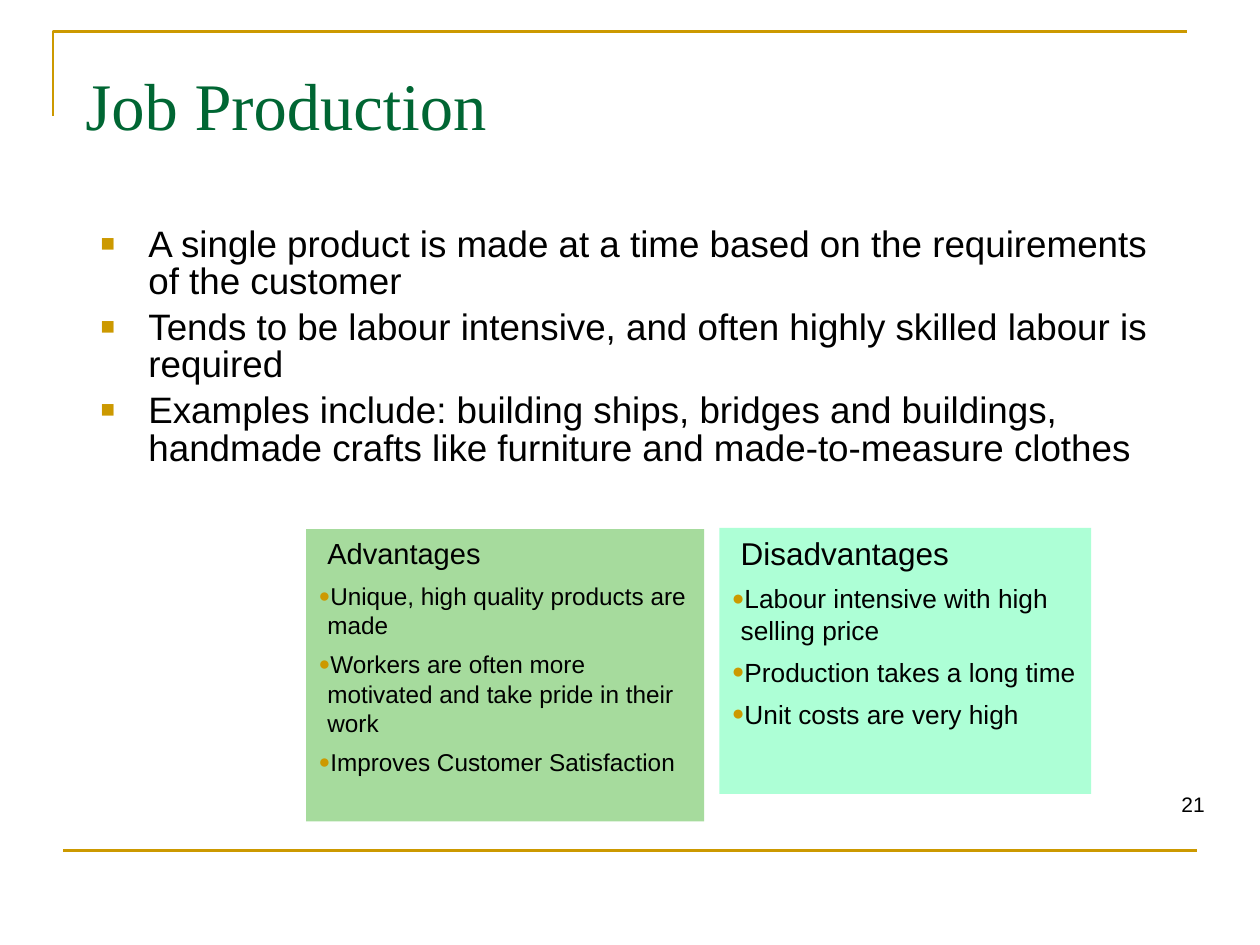
import pptx
import pptx.util
import pptx.dml.color
import pptx.enum.shapes
import pptx.enum.text
import pptx.oxml.ns
import lxml.etree

Inches = pptx.util.Inches
Pt = pptx.util.Pt
RGBColor = pptx.dml.color.RGBColor
Align = pptx.enum.text.PP_ALIGN
Anchor = pptx.enum.text.MSO_ANCHOR

GOLD = RGBColor(0xCC, 0x99, 0x00)
GREEN = RGBColor(0x00, 0x66, 0x33)
BLACK = RGBColor(0x00, 0x00, 0x00)
LEAF = RGBColor(0xA6, 0xDB, 0x9D)
MINT = RGBColor(0xAD, 0xFF, 0xD6)

TITLE = "Job Production"
POINTS = [
    "A single product is made at a time based on the requirements of the customer",
    "Tends to be labour intensive, and often highly skilled labour is required",
    "Examples include: building ships, bridges and buildings, "
    "handmade crafts like furniture and made-to-measure clothes",
]
PANELS = [
    dict(heading="Advantages", box=(2.43, 4.2, 3.16, 2.32), fill=LEAF,
         heading_size=16.6, size=13.9,
         items=["Unique, high quality products are made",
                "Workers are often more motivated and take pride in their work",
                "Improves Customer Satisfaction"]),
    dict(heading="Disadvantages", box=(5.71, 4.19, 2.95, 2.11), fill=MINT,
         heading_size=18, size=15,
         items=["Labour intensive with high selling price",
                "Production takes a long time",
                "Unit costs are very high"]),
]
PAGE_NUMBER = "21"


def add_bullet(properties, character, percent):
    def child(parent, tag, **attributes):
        return lxml.etree.SubElement(parent, pptx.oxml.ns.qn(tag), **attributes)

    child(child(properties, "a:buClr"), "a:srgbClr", val=str(GOLD))
    child(properties, "a:buSzPct", val=str(percent * 1000))
    child(properties, "a:buFont", typeface="Arial")
    child(properties, "a:buChar", char=character)


def write(frame, text, size=12, font="Arial", color=BLACK, align=Align.LEFT,
          bullet=None, margin=0, indent=0, before=0, line_spacing=None):
    first = not frame.text
    paragraph = frame.paragraphs[0] if first else frame.add_paragraph()
    paragraph.alignment = align
    if line_spacing:
        paragraph.line_spacing = line_spacing
    if not first:
        paragraph.space_before = Pt(before)
    properties = paragraph._p.get_or_add_pPr()
    properties.set("marL", str(Inches(margin)))
    properties.set("indent", str(Inches(indent)))
    if bullet:
        add_bullet(properties, *bullet)
    run = paragraph.add_run()
    run.text = text
    run.font.size = Pt(size)
    run.font.name = font
    run.font.color.rgb = color


def prepare(shape, anchor=Anchor.TOP, top=0.05):
    frame = shape.text_frame
    frame.word_wrap = True
    frame.vertical_anchor = anchor
    frame.margin_top = Inches(top)
    return frame


def add_text_box(slide, box, **options):
    return prepare(slide.shapes.add_textbox(*map(Inches, box)), **options)


def add_frame_lines(slide):
    builder = slide.shapes.build_freeform(Inches(0.42), Inches(0.92))
    builder.add_line_segments(
        [(Inches(0.42), Inches(0.25)), (Inches(9.42), Inches(0.25))], close=False)
    corner = builder.convert_to_shape()
    corner.fill.background()
    corner.shadow.inherit = False

    footer_line = slide.shapes.add_connector(
        pptx.enum.shapes.MSO_CONNECTOR.STRAIGHT,
        Inches(0.5), Inches(6.75), Inches(9.5), Inches(6.75))
    lxml.etree.SubElement(footer_line._element.spPr, pptx.oxml.ns.qn("a:effectLst"))
    for shape in (corner, footer_line):
        shape.line.color.rgb = GOLD
        shape.line.width = Pt(1.5)


def add_panel(slide, panel):
    shape = slide.shapes.add_shape(
        pptx.enum.shapes.MSO_SHAPE.RECTANGLE, *map(Inches, panel["box"]))
    shape.shadow.inherit = False
    shape.fill.solid()
    shape.fill.fore_color.rgb = panel["fill"]
    shape.line.fill.background()
    frame = prepare(shape)
    write(frame, panel["heading"], size=panel["heading_size"], margin=0.07)
    for item in panel["items"]:
        write(frame, item, size=panel["size"], bullet=("●", 80),
              margin=0.07, indent=-0.07, before=6)


def main():
    presentation = pptx.Presentation()
    presentation.slide_width = Inches(10)
    presentation.slide_height = Inches(7.5)
    slide = presentation.slides.add_slide(presentation.slide_layouts[6])

    add_frame_lines(slide)
    title = add_text_box(slide, (0.58, 0.4, 8.25, 0.66), top=0.11)
    write(title, TITLE, size=38, font="Times New Roman", color=GREEN)
    body = add_text_box(slide, (0.7, 1.75, 8.63, 2.2), top=0.06)
    for point in POINTS:
        write(body, point, size=21, bullet=("■", 65), margin=0.38, indent=-0.38,
              before=5.2, line_spacing=0.84)
    number = add_text_box(slide, (9.02, 6.23, 0.64, 0.3), anchor=Anchor.BOTTOM)
    write(number, PAGE_NUMBER, align=Align.RIGHT)
    for panel in PANELS:
        add_panel(slide, panel)

    presentation.save("out.pptx")


if __name__ == "__main__":
    main()
